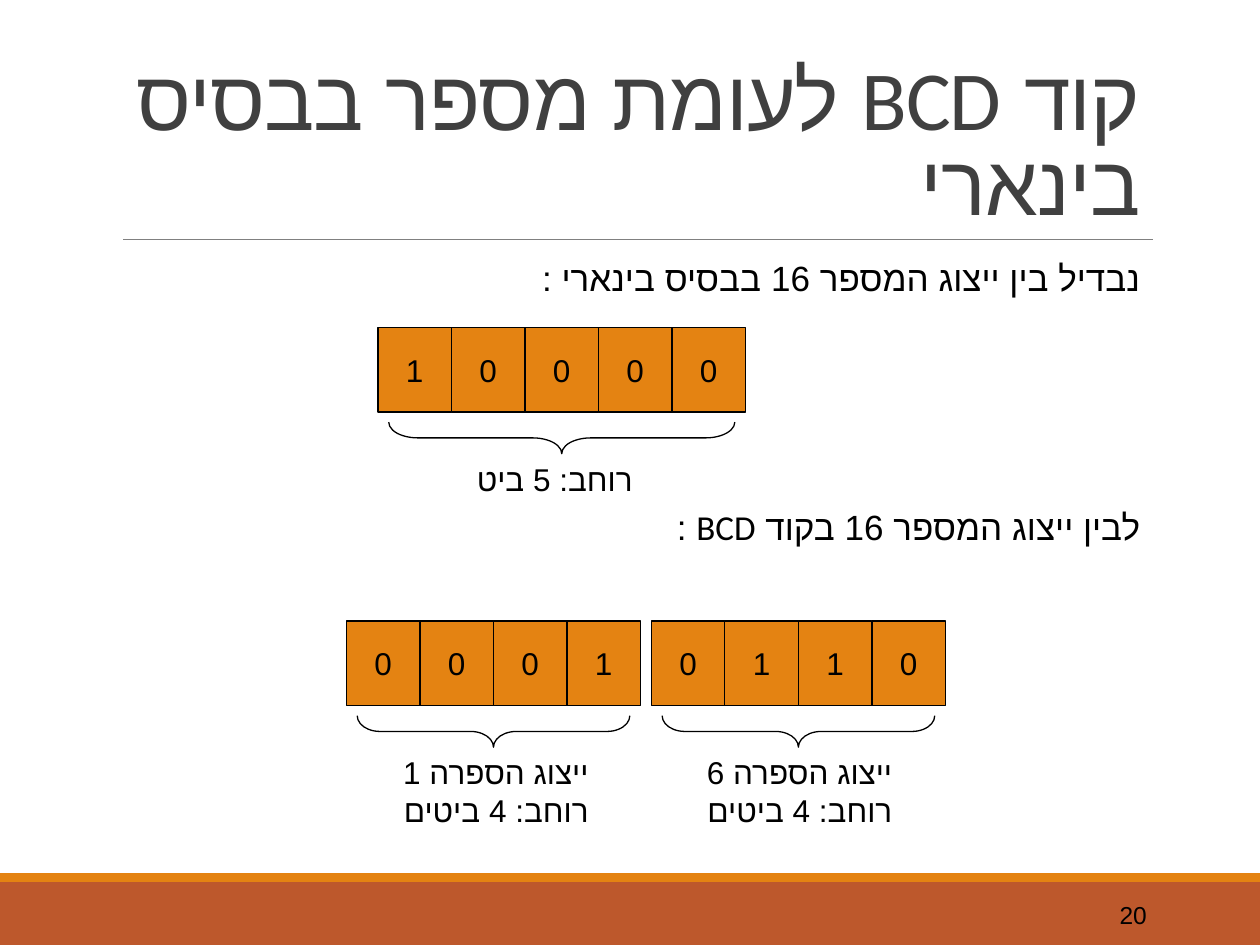
from lxml.etree import SubElement
from pptx import Presentation
from pptx.dml.color import RGBColor
from pptx.enum.lang import MSO_LANGUAGE_ID
from pptx.enum.shapes import MSO_CONNECTOR, MSO_SHAPE
from pptx.enum.text import MSO_ANCHOR, MSO_AUTO_SIZE, PP_ALIGN
from pptx.oxml.ns import qn
from pptx.util import Inches, Pt

ORANGE, RUST, BLACK = "E48312", "BD582C", "000000"
hue = RGBColor.from_string

deck = Presentation()
deck.slide_width, deck.slide_height = Inches(10), Inches(7.5)
slide = deck.slides.add_slide(deck.slide_layouts[1])
shapes = slide.shapes


def write(para, text, size=18, font="Arial", color=BLACK, align=PP_ALIGN.RIGHT):
    """Add one right-to-left run and return it."""
    para.alignment = align
    para._p.get_or_add_pPr().set("rtl", "1")
    run = para.add_run()
    run.text = text
    run.font.size = Pt(size)
    run.font.name = font
    run.font.language_id = MSO_LANGUAGE_ID.HEBREW
    run.font.color.rgb = hue(color)
    # Hebrew letters take the complex-script font
    SubElement(run._r.get_or_add_rPr(), qn("a:cs")).set("typeface", "Arial")
    return run


def draw(kind, x, y, w, h, fill=None, line=None):
    """Add a flat shape with an optional fill and outline."""
    shape = shapes.add_shape(kind, Inches(x), Inches(y), Inches(w), Inches(h))
    shape.shadow.inherit = False
    if fill:
        shape.fill.solid()
        shape.fill.fore_color.rgb = hue(fill)
    else:
        shape.fill.background()
    if line:
        shape.line.color.rgb = hue(line)
        shape.line.width = Pt(0.75)
    else:
        shape.line.fill.background()
    return shape


# Footer bars and the rule below the title
draw(MSO_SHAPE.RECTANGLE, 0, 7, 10, 0.5, RUST)
draw(MSO_SHAPE.RECTANGLE, 0, 6.93, 10, 0.07, ORANGE)
rule = shapes.add_connector(MSO_CONNECTOR.STRAIGHT, Inches(0.98), Inches(1.9),
                            Inches(9.15), Inches(1.9))
rule.line.color.rgb = hue("808080")
rule.line.width = Pt(0.5)
SubElement(rule._element.spPr, qn("a:effectLst"))

# Title
title = shapes.title
title.left, title.top = Inches(0.59), Inches(0.31)
title.width, title.height = Inches(8.56), Inches(1.59)
frame = title.text_frame
frame.auto_size = MSO_AUTO_SIZE.NONE
frame.vertical_anchor = MSO_ANCHOR.BOTTOM
para = frame.paragraphs[0]
para.line_spacing = 0.85
run = write(para, "קוד BCD לעומת מספר בבסיס בינארי", 48, "Calibri", "404040")
run._r.get_or_add_rPr().set("spc", "-50")

# Body: two lines, with room for the first diagram between them
body = slide.placeholders[1]
body.left, body.top = Inches(0.9), Inches(2.02)
body.width, body.height = Inches(8.25), Inches(4.4)
frame = body.text_frame
frame.auto_size = MSO_AUTO_SIZE.NONE
frame.margin_left = frame.margin_right = 0
lines = [("נבדיל בין ייצוג המספר 16 בבסיס בינארי :", 12),
         ("לבין ייצוג המספר 16 בקוד BCD :", 119)]
for i, (text, gap) in enumerate(lines):
    para = frame.add_paragraph() if i else frame.paragraphs[0]
    para.line_spacing = 0.9
    para.space_before, para.space_after = Pt(gap), Pt(2)
    write(para, text, 20, "Calibri")
    props = para._p.get_or_add_pPr()
    props.set("marL", str(Inches(0.1)))
    props.set("indent", str(-Inches(0.1)))
    SubElement(props, qn("a:buChar")).set("char", " ")

# Page number
page = shapes.add_textbox(Inches(8.12), Inches(7.06), Inches(1.08), Inches(0.4))
page.text_frame.word_wrap = True
page.text_frame.vertical_anchor = MSO_ANCHOR.MIDDLE
write(page.text_frame.paragraphs[0], "20", 14)

# Bit groups: bits, left, top, brace bend, label right edge, label lines
cell, high, deep, wide = 7 / 12, 0.67, 0.25, 1.85
groups = [
    ("10000", 3, 2.6, 0.92, 5.12, ["רוחב: 5 ביט"]),
    ("0110", 5.17, 4.93, 0.72, 7.18, ["ייצוג הספרה 6", "רוחב: 4 ביטים"]),
    ("0001", 2.75, 4.93, 0.72, 4.77, ["ייצוג הספרה 1", "רוחב: 4 ביטים"]),
]
for bits, left, top, bend, right, label in groups:
    for i, bit in enumerate(bits):
        box = draw(MSO_SHAPE.RECTANGLE, left + i * cell, top, cell, high, ORANGE, BLACK)
        box.text_frame.word_wrap = False
        box.text_frame.vertical_anchor = MSO_ANCHOR.MIDDLE
        write(box.text_frame.paragraphs[0], bit, align=PP_ALIGN.CENTER)

    # Brace turned to point down, centred below its bits
    span = len(bits) * cell
    reach = span - 0.17
    brace = draw(MSO_SHAPE.LEFT_BRACE, left + (span - deep) / 2,
                 top + 0.875 - reach / 2, deep, reach, line=BLACK)
    brace.rotation = 270
    brace.adjustments[0] = bend

    # Label, wide enough to keep each line whole
    note = shapes.add_textbox(Inches(right - wide), Inches(top + 1), Inches(wide),
                              Inches(0.1 + 0.3 * len(label)))
    frame = note.text_frame
    frame.word_wrap = True
    for i, text in enumerate(label):
        write(frame.add_paragraph() if i else frame.paragraphs[0], text)

deck.save("out.pptx")
